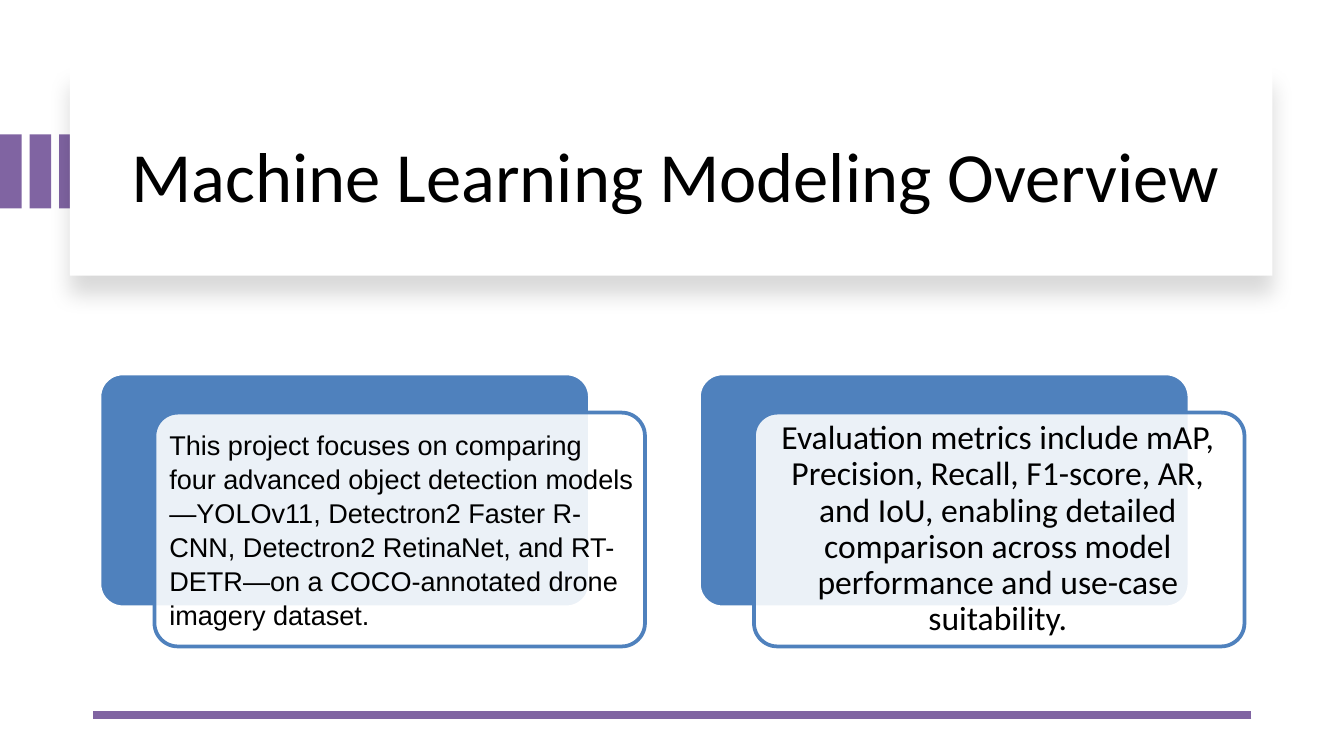
import pptx
import pptx.util
import pptx.dml.color
import pptx.enum.shapes
import pptx.enum.text
import pptx.oxml
import pptx.oxml.ns
import lxml.etree

Cm = pptx.util.Cm
Pt = pptx.util.Pt
RGBColor = pptx.dml.color.RGBColor
SHAPE = pptx.enum.shapes.MSO_SHAPE
ALIGN = pptx.enum.text.PP_ALIGN

PURPLE = RGBColor(0x80, 0x64, 0xA2)
BLUE = RGBColor(0x4F, 0x81, 0xBD)
WHITE = RGBColor(0xFF, 0xFF, 0xFF)
BLACK = RGBColor(0x00, 0x00, 0x00)

presentation = pptx.Presentation()
presentation.slide_width = Cm(25.4)
presentation.slide_height = Cm(14.29)
slide = presentation.slides.add_slide(presentation.slide_layouts[6])


def add_block(kind, left, top, width, height, fill, line=None):
    shape = slide.shapes.add_shape(kind, Cm(left), Cm(top), Cm(width), Cm(height))
    shape.shadow.inherit = False
    shape.fill.solid()
    shape.fill.fore_color.rgb = fill
    if line is None:
        shape.line.fill.background()
    else:
        shape.line.color.rgb = line
        shape.line.width = Pt(2)
    return shape


def add_text(text, left, top, width, height, font, size, align, spacing, inset):
    box = slide.shapes.add_textbox(Cm(left), Cm(top), Cm(width), Cm(height))
    frame = box.text_frame
    frame.word_wrap = True
    frame.vertical_anchor = pptx.enum.text.MSO_ANCHOR.MIDDLE
    frame.margin_left = frame.margin_right = Cm(inset[0])
    frame.margin_top = frame.margin_bottom = Cm(inset[1])
    frame.text = text
    paragraph = frame.paragraphs[0]
    paragraph.alignment = align
    paragraph.line_spacing = spacing
    run_font = paragraph.runs[0].font
    run_font.name = font
    run_font.size = Pt(size)
    run_font.color.rgb = BLACK


# Purple bars at the left edge
for index in range(3):
    add_block(SHAPE.RECTANGLE, index * 0.56, 2.54, 0.41, 1.4, PURPLE)

# Title panel with a soft shadow below
panel = add_block(SHAPE.RECTANGLE, 1.32, 1.27, 22.73, 3.94, WHITE)
effects = panel._element.spPr.find(pptx.oxml.ns.qn("a:effectLst"))
effects.append(pptx.oxml.parse_xml(
    f'<a:outerShdw {pptx.oxml.ns.nsdecls("a")} blurRad="{Pt(11)}" dist="{Pt(10)}" '
    'dir="5400000" algn="t" rotWithShape="0">'
    '<a:srgbClr val="000000"><a:alpha val="15000"/></a:srgbClr></a:outerShdw>'))
add_text("Machine Learning Modeling Overview", 2.18, 1.68, 21.18, 3.23,
         "Calibri", 37.8, ALIGN.CENTER, 1.0, (0.25, 0.13))

# Rule at the bottom
rule = slide.shapes.add_connector(pptx.enum.shapes.MSO_CONNECTOR.STRAIGHT,
                                  Cm(23.65), Cm(13.51), Cm(1.75), Cm(13.51))
rule.line.color.rgb = PURPLE
rule.line.width = Pt(4.5)
lxml.etree.SubElement(rule._element.spPr, pptx.oxml.ns.qn("a:effectLst"))

# Two cards, each a blue block with a translucent text panel over it
cards = [
    ("This project focuses on comparing four advanced object detection models"
     "—YOLOv11, Detectron2 Faster R-CNN, Detectron2 RetinaNet, and RT-DETR"
     "—on a COCO-annotated drone imagery dataset.",
     3.02, 7.65, 9.17, 4.7, "Arial", 14.5, ALIGN.LEFT, 1.05),
    ("Evaluation metrics include mAP, Precision, Recall, F1-score, AR, and IoU, "
     "enabling detailed comparison across model performance and use-case suitability.",
     14.4, 7.92, 8.92, 4.17, "Calibri", 18, ALIGN.CENTER, 0.9),
]
for index, card in enumerate(cards):
    left = 1.88 + index * 11.33
    back = add_block(SHAPE.ROUNDED_RECTANGLE, left, 7.06, 9.27, 4.42, BLUE, WHITE)
    front = add_block(SHAPE.ROUNDED_RECTANGLE, left + 1.04, 7.8, 9.27, 4.42, WHITE, BLUE)
    for shape in (back, front):
        shape.adjustments[0] = 0.1
    color = front._element.spPr.find(
        f'{pptx.oxml.ns.qn("a:solidFill")}/{pptx.oxml.ns.qn("a:srgbClr")}')
    lxml.etree.SubElement(color, pptx.oxml.ns.qn("a:alpha"), val="89000")
    add_text(*card, (0.18, 0.18))

presentation.save("out.pptx")
